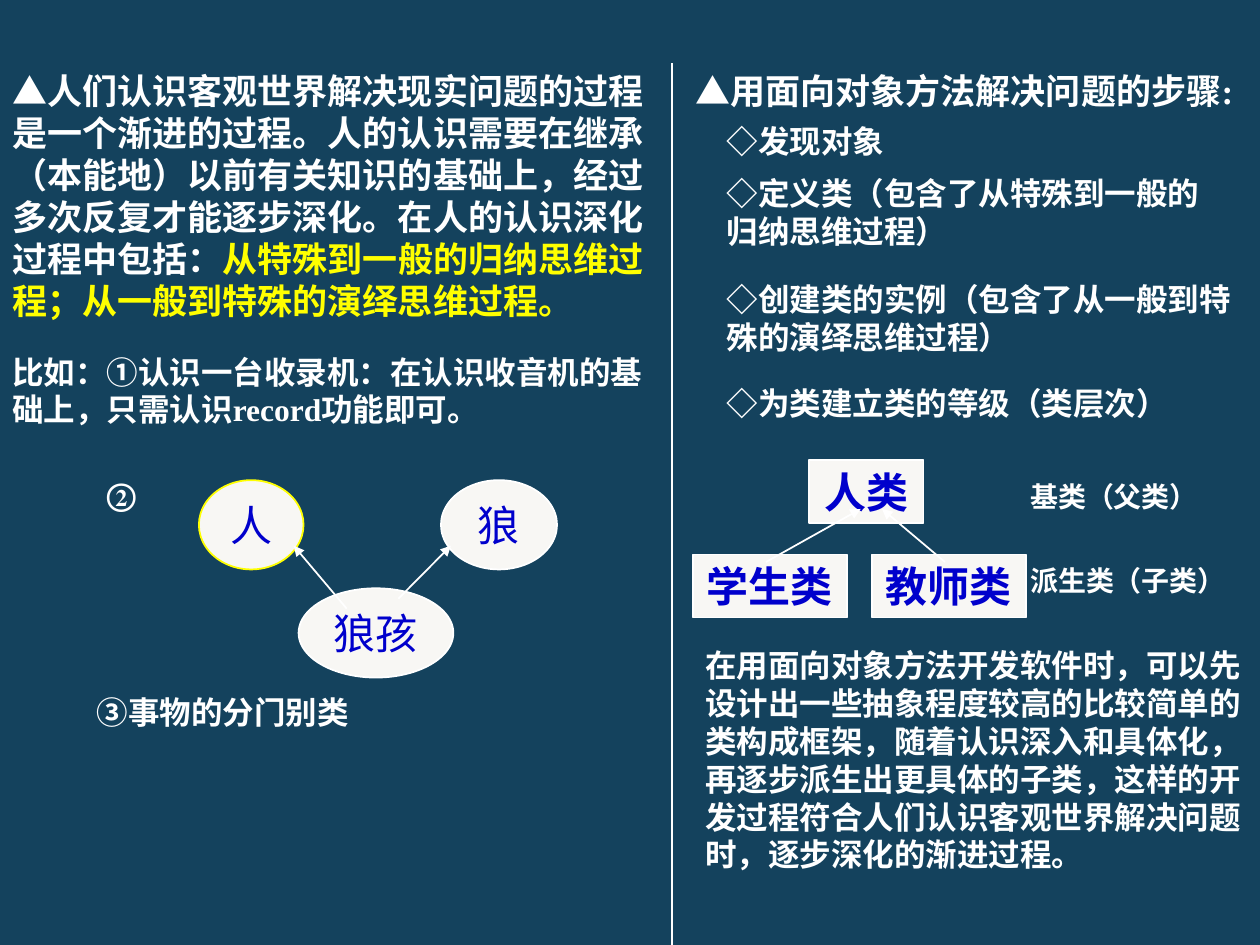
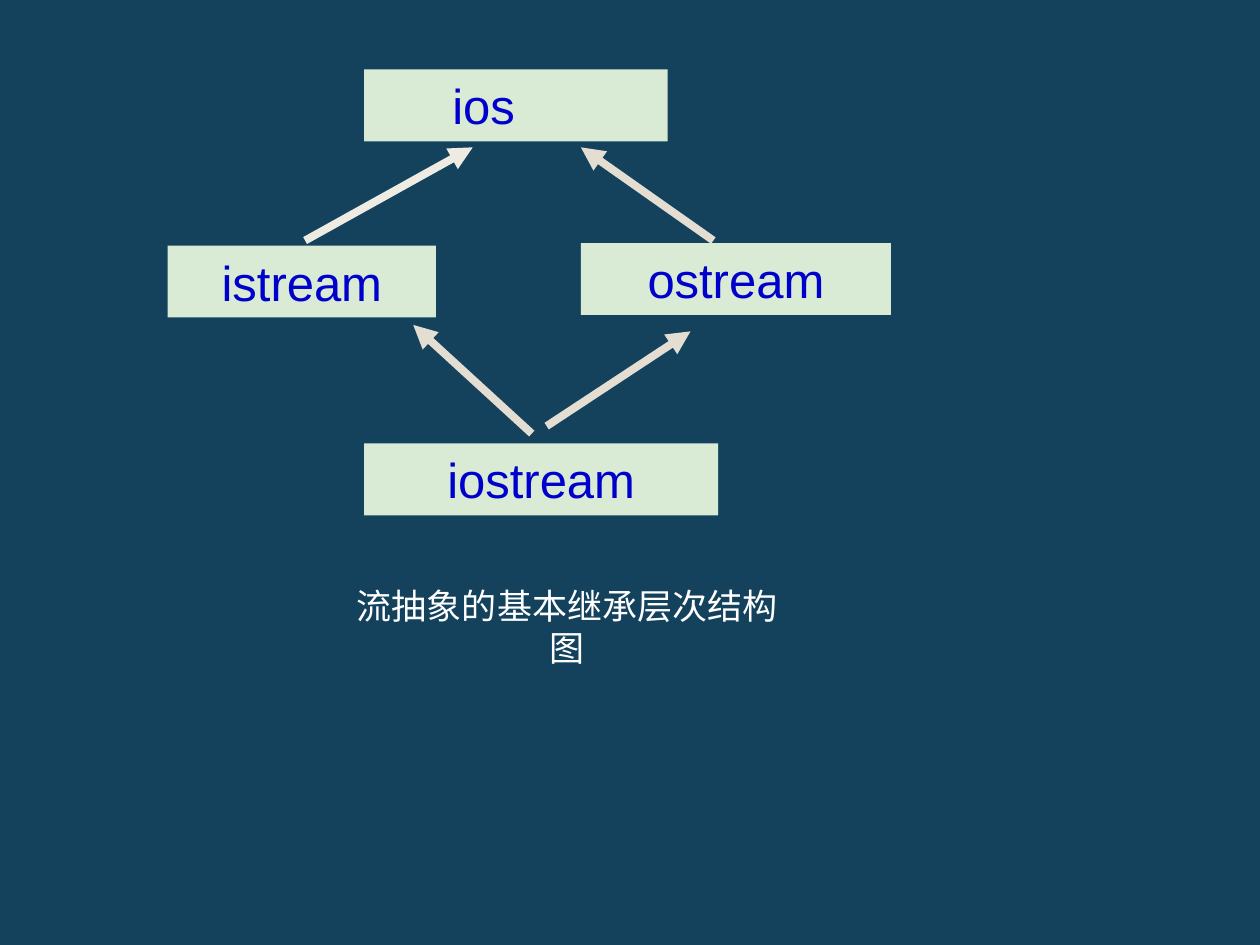
"""Build two slides on object-oriented thinking and the stream class hierarchy."""
from dataclasses import dataclass

from lxml.etree import SubElement
from pptx import Presentation
from pptx.dml.color import RGBColor
from pptx.enum.shapes import MSO_CONNECTOR, MSO_SHAPE
from pptx.enum.text import MSO_ANCHOR, PP_ALIGN
from pptx.oxml.ns import qn
from pptx.util import Cm, Pt


@dataclass(frozen=True)
class Theme:
    background: str = "14425D"
    text: str = "FFFFFF"
    highlight: str = "FFFF00"
    node_text: str = "0000CC"
    concept_fill: str = "F8F7F4"
    stream_fill: str = "D9EAD5"
    arrow: str = "E3DED1"
    first_arrow: str = "EEEBE3"
    serif: str = "Times New Roman"
    sans: str = "Arial"
    chinese: str = "Noto Sans CJK SC"
    heading: int = 20
    body: int = 18
    label: int = 16
    concept: int = 24
    stream: int = 28
    thin: float = 1
    thick: float = 4.5


THEME = Theme()
SLIDE_SIZE = (25.4, 19.05)
INSETS = {"margin_left": 0.25, "margin_right": 0.25, "margin_top": 0.13, "margin_bottom": 0.13}
DIVIDER = (13.54, 1.27, 13.54, 19.05)

PASSAGES = [
    ((0, 1.27, 13.34, 5.38), THEME.heading, [
        ("▲人们认识客观世界解决现实问题的过程是一个渐进的过程。人的认识需要在继承"
         "（本能地）以前有关知识的基础上，经过多次反复才能逐步深化。在人的认识深化过程中包括：", THEME.text),
        ("从特殊到一般的归纳思维过程；从一般到特殊的演绎思维过程。", THEME.highlight)]),
    ((0, 6.98, 13.34, 1.8), THEME.body,
     [("比如：①认识一台收录机：在认识收音机的基础上，只需认识record功能即可。", THEME.text)]),
    ((1.9, 9.45, 1.7, 1.02), THEME.body, [("②", THEME.text)]),
    ((1.7, 13.84, 8.46, 1.02), THEME.body, [("③事物的分门别类", THEME.text)]),
    ((13.77, 1.27, 11.63, 1.12), THEME.heading, [("▲用面向对象方法解决问题的步骤:", THEME.text)]),
    ((20.52, 9.53, 4.24, 0.94), THEME.label, [("基类（父类）", THEME.text)]),
    ((20.52, 11.23, 4.88, 0.94), THEME.label, [("派生类（子类）", THEME.text)]),
    ((13.97, 12.9, 11.43, 4.88), THEME.body,
     [("在用面向对象方法开发软件时，可以先设计出一些抽象程度较高的比较简单的类构成框架，"
       "随着认识深入和具体化，再逐步派生出更具体的子类，这样的开发过程符合人们认识客观世界"
       "解决问题时，逐步深化的渐进过程。", THEME.text)]),
]

STEPS_LEFT = 14.4
STEPS = [
    ("◇发现对象", 2.34, 8.05, 1),
    ("◇定义类（包含了从特殊到一般的归纳思维过程）", 3.38, 10.59, 2),
    ("◇创建类的实例（包含了从一般到特殊的演绎思维过程）", 5.51, 11, 2),
    ("◇为类建立类的等级（类层次）", 7.62, 11, 1),
]

CREATURES = [
    ("人", (4.01, 9.68, 2.11, 1.8), THEME.highlight),
    ("狼", (8.89, 9.68, 2.34, 1.8), THEME.text),
    ("狼孩", (6.02, 11.86, 3.12, 1.8), THEME.text),
]
CLASSES = [
    ("人类", (16.31, 9.27, 2.31, 1.27)),
    ("学生类", (13.97, 11.18, 3.1, 1.27)),
    ("教师类", (17.58, 11.18, 3.1, 1.27)),
]
CREATURE_ARROWS = [(6.99, 12.27, 5.92, 11), (8.03, 12.07, 9.09, 11)]
CLASS_ARROWS = [(15.44, 11.33, 17.35, 10.26), (19.05, 11.33, 17.78, 10.26)]

STREAM_HEIGHT = 1.45
STREAMS = [
    ("ios", 7.34, 1.4, 6.12, 1.55),
    ("istream", 3.38, 4.95, 5.41, 0.25),
    ("ostream", 11.71, 4.9, 6.25, 0.25),
    ("iostream", 7.34, 8.94, 7.14, 0.25),
]
STREAM_ARROWS = [
    ((6.15, 4.85, 9.53, 2.97), THEME.first_arrow),
    ((14.38, 4.85, 11.71, 2.97), THEME.arrow),
    ((10.72, 8.74, 8.33, 6.55), THEME.arrow),
    ((11.02, 8.59, 13.92, 6.68), THEME.arrow),
]
CAPTION = ("流抽象的基本继承层次结构图", (6.71, 11.66, 9.45, 1.96))


def apply(target, values):
    for name, value in values.items():
        setattr(target, name, value)


def lengths(values):
    return [Cm(value) for value in values]


def color(code):
    return RGBColor.from_string(code)


def write(shape, runs, font, align=PP_ALIGN.LEFT, wrap=True, anchor=MSO_ANCHOR.TOP, **insets):
    frame = shape.text_frame
    apply(frame, {"word_wrap": wrap, "vertical_anchor": anchor})
    apply(frame, {side: Cm(inset) for side, inset in {**INSETS, **insets}.items()})
    paragraph = frame.paragraphs[0]
    paragraph.alignment = align
    for words, code in runs:
        run = paragraph.add_run()
        run.text = words
        apply(run.font, font)
        run.font.color.rgb = color(code)


def font_of(name, size, bold=False):
    return {"name": name, "size": Pt(size), "bold": bold}


def add_text(slide, box, runs, font, **layout):
    write(slide.shapes.add_textbox(*lengths(box)), runs, font, **layout)


def add_node(slide, outline, words, box, fill, font, border=None, **layout):
    node = slide.shapes.add_shape(outline, *lengths(box))
    node.shadow.inherit = False
    node.fill.solid()
    node.fill.fore_color.rgb = color(fill)
    if border:
        node.line.color.rgb = color(border)
        node.line.width = Pt(THEME.thin)
    else:
        node.line.fill.background()
    write(node, [(words, THEME.node_text)], font,
          align=PP_ALIGN.CENTER, anchor=MSO_ANCHOR.MIDDLE, **layout)


def add_line(slide, ends, code=THEME.text, width=THEME.thin, arrow=True):
    line = slide.shapes.add_connector(MSO_CONNECTOR.STRAIGHT, *lengths(ends))
    line.line.color.rgb = color(code)
    line.line.width = Pt(width)
    if arrow:
        SubElement(line.line._get_or_add_ln(), qn("a:tailEnd"), type="triangle")
    SubElement(line._element.spPr, qn("a:effectLst"))


def add_slide(deck):
    slide = deck.slides.add_slide(deck.slide_layouts[6])
    slide.background.fill.solid()
    slide.background.fill.fore_color.rgb = color(THEME.background)
    return slide


def build_concepts(deck):
    slide = add_slide(deck)
    add_line(slide, DIVIDER, arrow=False)
    for box, size, runs in PASSAGES:
        add_text(slide, box, runs, font_of(THEME.serif, size, True))
    for step, top, width, rows in STEPS:
        box = (STEPS_LEFT, top, width, 0.25 + 0.77 * rows)
        add_text(slide, box, [(step, THEME.text)], font_of(THEME.serif, THEME.body, True))
    for creature, box, border in CREATURES:
        add_node(slide, MSO_SHAPE.OVAL, creature, box, THEME.concept_fill,
                 font_of(THEME.serif, THEME.concept), border, wrap=False)
    for class_name, box in CLASSES:
        add_node(slide, MSO_SHAPE.RECTANGLE, class_name, box, THEME.concept_fill,
                 font_of(THEME.serif, THEME.concept, True), THEME.text, wrap=False)
    for ends in CREATURE_ARROWS + CLASS_ARROWS:
        add_line(slide, ends)


def build_streams(deck):
    slide = add_slide(deck)
    for stream, left, top, width, right_inset in STREAMS:
        add_node(slide, MSO_SHAPE.RECTANGLE, stream, (left, top, width, STREAM_HEIGHT),
                 THEME.stream_fill, font_of(THEME.sans, THEME.stream), margin_right=right_inset)
    for ends, code in STREAM_ARROWS:
        add_line(slide, ends, code, THEME.thick)
    caption, box = CAPTION
    add_text(slide, box, [(caption, THEME.text)], font_of(THEME.chinese, THEME.heading),
             align=PP_ALIGN.CENTER)


def main():
    deck = Presentation()
    deck.slide_width, deck.slide_height = lengths(SLIDE_SIZE)
    build_concepts(deck)
    build_streams(deck)
    deck.save("out.pptx")


if __name__ == "__main__":
    main()
